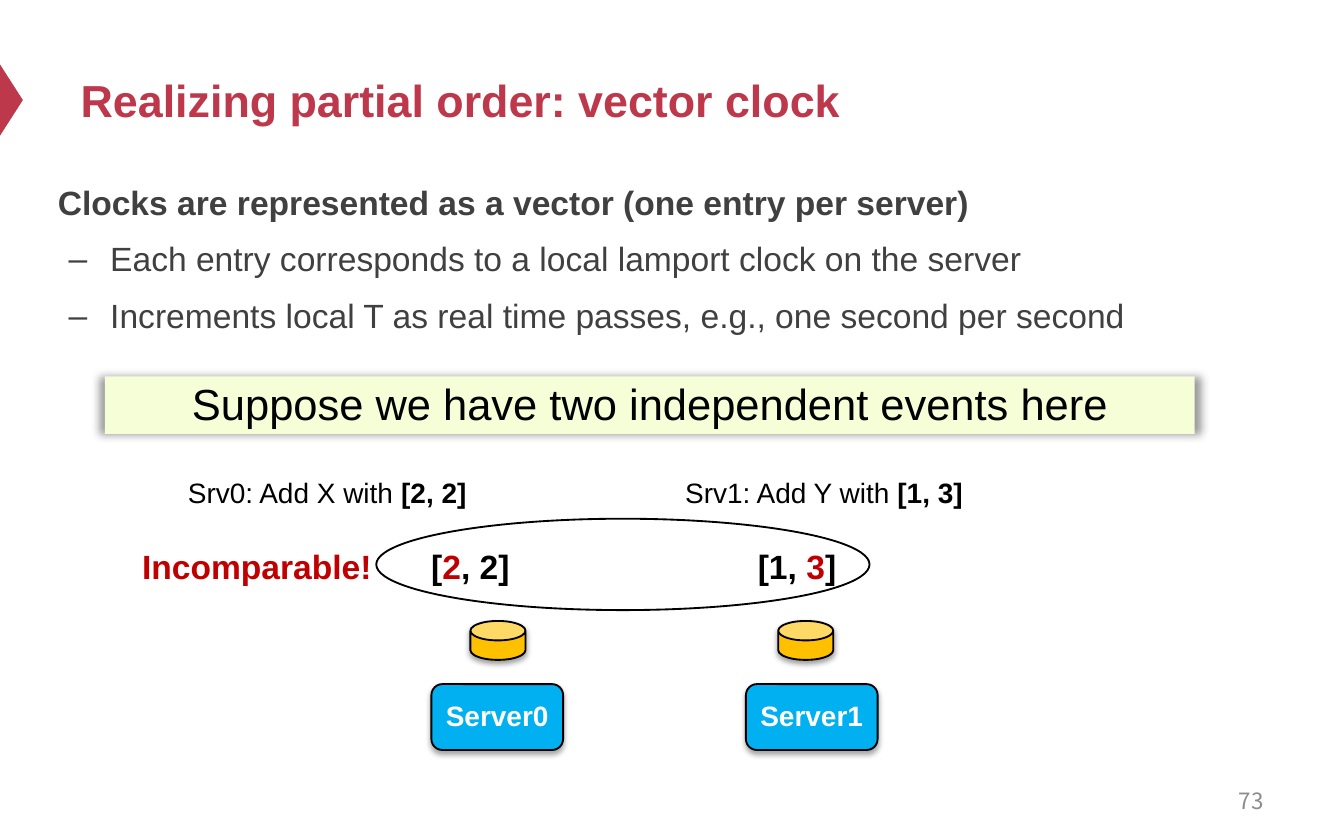
import pptx
import pptx.dml.color
import pptx.enum.shapes
import pptx.enum.text
import pptx.oxml.ns
import pptx.util
from lxml import etree

Inches = pptx.util.Inches
Pt = pptx.util.Pt
Shape = pptx.enum.shapes.MSO_SHAPE
Align = pptx.enum.text.PP_ALIGN
Anchor = pptx.enum.text.MSO_ANCHOR
AutoSize = pptx.enum.text.MSO_AUTO_SIZE
qn = pptx.oxml.ns.qn

COLORS = {
    "accent": "BE384B",
    "body": "404040",
    "number": "8C8C8C",
    "text": "000000",
    "white": "FFFFFF",
    "alert": "C00000",
    "disk": "FFC000",
    "server": "00B0F0",
    "banner": "F5FED6",
}


def rgb(name):
    return pptx.dml.color.RGBColor.from_string(COLORS[name])


def place(box, left, top, width, height):
    box.left, box.top = Inches(left), Inches(top)
    box.width, box.height = Inches(width), Inches(height)


class SlideBuilder:
    def __init__(self, page, font="Arial"):
        self.page = page
        self.font = font

    def spans(self, para, parts, size, color="text", bold=False, font=None):
        """Add runs; each part is a string or (string, overrides)."""
        for part in parts:
            text, changes = (part, {}) if isinstance(part, str) else part
            span = para.add_run()
            span.text = text
            span.font.name = font or self.font
            span.font.size = Pt(size)
            span.font.bold = changes.get("bold", bold)
            span.font.color.rgb = rgb(changes.get("color", color))

    def title(self, text, at):
        box = self.page.shapes.title
        place(box, *at)
        frame = box.text_frame
        frame.auto_size = AutoSize.NONE
        frame.vertical_anchor = Anchor.MIDDLE
        para = frame.paragraphs[0]
        para.alignment = Align.LEFT
        self.spans(para, [text], 24, "accent", True)

    def body(self, heading, items, at):
        box = self.page.placeholders[1]
        place(box, *at)
        frame = box.text_frame
        frame.auto_size = AutoSize.NONE
        for index, text in enumerate([heading, *items]):
            is_item = index > 0
            para = frame.add_paragraph() if is_item else frame.paragraphs[0]
            para.level = int(is_item)
            para.line_spacing = 1.2
            para.space_before = Pt(4.6 if is_item else 0)
            props = para._p.get_or_add_pPr()
            props.set("marL", str(Inches(0.39 if is_item else 0)))
            props.set("indent", str(Inches(-0.31 if is_item else 0)))
            if is_item:
                etree.SubElement(props, qn("a:buChar"), char="–")
            else:
                etree.SubElement(props, qn("a:buNone"))
            self.spans(para, [text], 18, "body", not is_item)

    def label(self, parts, at, size=18, align=Align.LEFT, spacing=None, **style):
        box = self.page.shapes.add_textbox(*map(Inches, at))
        frame = box.text_frame
        frame.word_wrap = True
        frame.vertical_anchor = Anchor.TOP
        para = frame.paragraphs[0]
        para.alignment = align
        if spacing:
            para.line_spacing = spacing
        self.spans(para, parts, size, **style)
        return box

    def shape(self, kind, at, fill=None, outlined=True, shadow=None):
        box = self.page.shapes.add_shape(kind, *map(Inches, at))
        box.shadow.inherit = False
        if fill:
            box.fill.solid()
            box.fill.fore_color.rgb = rgb(fill)
        else:
            box.fill.background()
        if outlined:
            box.line.color.rgb = rgb("text")
            box.line.width = Pt(1)
        else:
            box.line.fill.background()
        if shadow:
            self.cast_shadow(box, *shadow)
        return box

    def cast_shadow(self, box, opacity, blur, distance, stretch=100):
        effects = box._element.spPr.find(qn("a:effectLst"))
        outer = etree.SubElement(
            effects, qn("a:outerShdw"), blurRad=str(Pt(blur)),
            dist=str(Pt(distance)), dir=str(90 * 60000),
            sx=str(stretch * 1000), rotWithShape="0")
        tint = etree.SubElement(outer, qn("a:srgbClr"), val=COLORS["text"])
        etree.SubElement(tint, qn("a:alpha"), val=str(opacity * 1000))

    def caption(self, box, text, size, margins, wrap=True, **style):
        """Write centred text inside a shape; margins are left, top, right, bottom."""
        frame = box.text_frame
        frame.word_wrap = wrap
        (frame.margin_left, frame.margin_top,
         frame.margin_right, frame.margin_bottom) = map(Inches, margins)
        frame.vertical_anchor = Anchor.MIDDLE
        para = frame.paragraphs[0]
        para.alignment = Align.CENTER
        self.spans(para, [text], size, **style)

    def server(self, name, left, disk_left):
        disk = self.shape(Shape.CAN, (disk_left, 4.62, 0.41, 0.29), "disk",
                          shadow=(38, 3.1, 1.6))
        disk.adjustments[0] = 0.5
        box = self.shape(Shape.ROUNDED_RECTANGLE, (left, 5.09, 0.98, 0.49), "server",
                         shadow=(35, 3.1, 1.8))
        self.caption(box, name, 15, (0, 0.03, 0, 0.05), False, color="white", bold=True)


def main():
    deck = pptx.Presentation()
    deck.slide_width, deck.slide_height = Inches(10), Inches(6.25)
    slide = SlideBuilder(deck.slides.add_slide(deck.slide_layouts[1]))

    marker = slide.shape(Shape.ISOSCELES_TRIANGLE, (-0.18, 0.66, 0.53, 0.17),
                         "accent", outlined=False)
    marker.rotation = 90
    slide.title("Realizing partial order: vector clock", (0.5, 0.25, 9, 0.98))
    slide.body(
        "Clocks are represented as a vector (one entry per server)",
        ["Each entry corresponds to a local lamport clock on the server",
         "Increments local T as real time passes, e.g., one second per second"],
        (0.33, 1.24, 9, 2.6))
    number = slide.label(["73"], (7.17, 5.79, 2.33, 0.33), 12, Align.RIGHT,
                         color="number", font="Noto Sans CJK SC")
    number.text_frame.vertical_anchor = Anchor.MIDDLE

    slide.server("Server0", 3.21, 3.5)
    slide.server("Server1", 5.55, 5.79)

    banner = slide.shape(Shape.RECTANGLE, (0.78, 2.8, 8.11, 0.43), "banner",
                         outlined=False, shadow=(40, 5, 0, 101))
    slide.caption(banner, "Suppose we have two independent events here", 23.3,
                  (0.07, 0, 0.07, 0.03))

    events = [("Srv0: Add X with ", "[2, 2]", 1.3), ("Srv1: Add Y with ", "[1, 3]", 5)]
    for event, clock, left in events:
        slide.label([event, (clock, {"bold": True})], (left, 3.54, 2.68, 0.31), 15,
                    spacing=0.8)

    alert = {"color": "alert"}
    clocks = [(["[", ("2", alert), ", 2]"], 3.11), (["[1, ", ("3", alert), "]"], 5.54)]
    for parts, left in clocks:
        slide.label(parts, (left, 4.01, 1.09, 0.4), bold=True)
    slide.shape(Shape.OVAL, (2.8, 3.86, 3.67, 0.68))
    slide.label(["Incomparable!"], (0.96, 4.01, 2.07, 0.4), color="alert", bold=True)

    deck.save("out.pptx")


if __name__ == "__main__":
    main()
